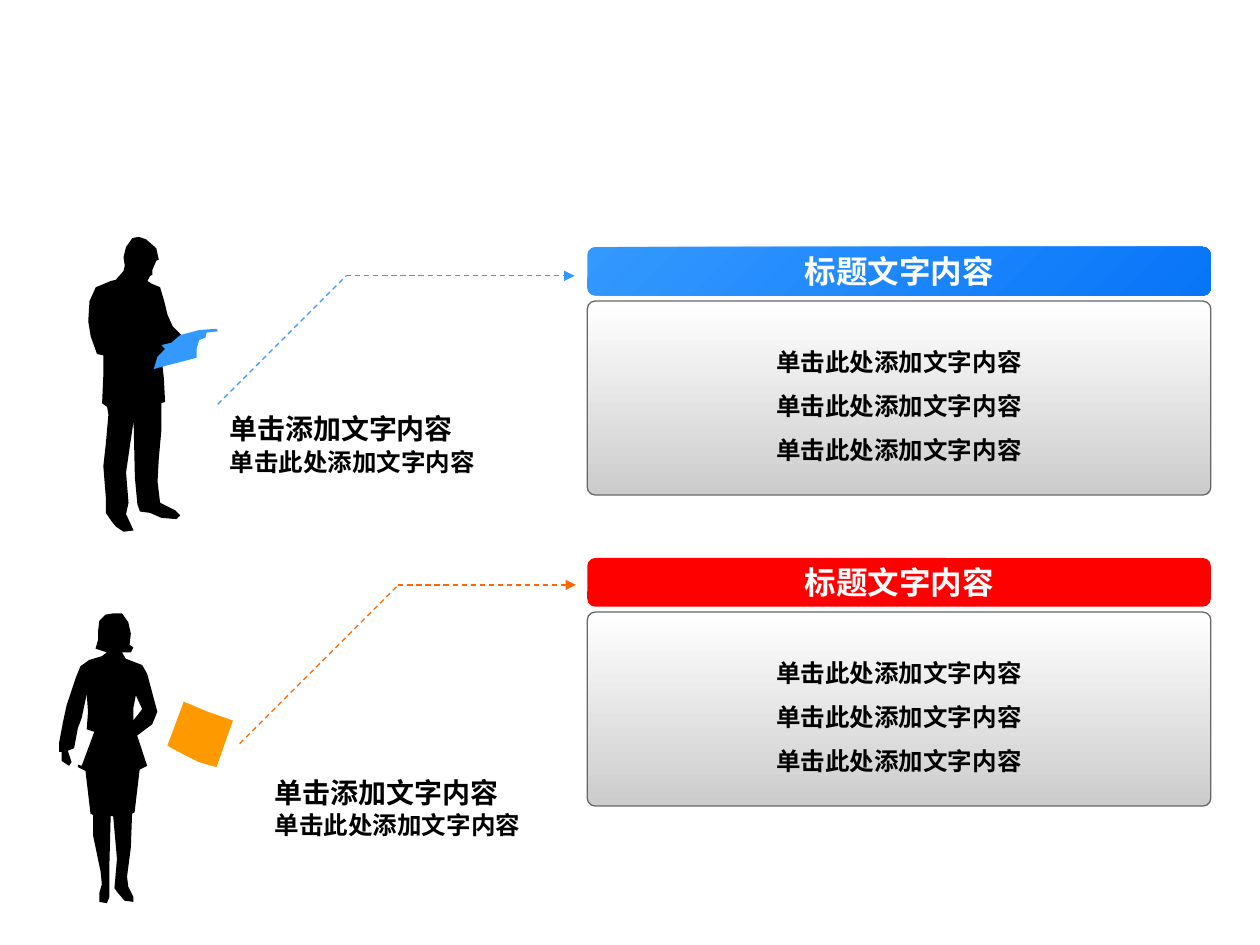
"""Build a slide linking two silhouettes to titled text panels."""
from itertools import chain
from lxml import etree
from pptx import Presentation
from pptx.dml.color import RGBColor
from pptx.enum.dml import MSO_LINE
from pptx.enum.shapes import MSO_CONNECTOR, MSO_SHAPE
from pptx.enum.text import MSO_ANCHOR, PP_ALIGN
from pptx.oxml.ns import qn
from pptx.util import Cm, Pt

ROUNDED = MSO_SHAPE.ROUNDED_RECTANGLE
STRAIGHT = MSO_CONNECTOR.STRAIGHT
DASH = MSO_LINE.DASH
MIDDLE = MSO_ANCHOR.MIDDLE
LEFT, CENTER = PP_ALIGN.LEFT, PP_ALIGN.CENTER

TITLE = "标题文字内容"
HEADING = "单击添加文字内容"
DETAIL = "单击此处添加文字内容"
BLACK, WHITE, BLUE = "000000", "FFFFFF", "3399FF"
RED, AMBER, ORANGE = "FF0000", "FF9900", "FF6600"

MAN = {
    "back of head": [(35, 2), (30, 9), (28, 17), (29, 24), (28, 28), (22, 35)],
    "back arm": [(18, 36), (6, 41), (1, 52), (0, 68), (2, 80), (7, 94)],
    "jacket back": [(12, 95), (12, 111), (11, 133), (15, 136)],
    "left leg": [(16, 142), (14, 165), (12, 183), (14, 208), (14, 220)],
    "left shoe": [(18, 226), (22, 231), (28, 235), (36, 234), (30, 221)],
    "inner legs": [(32, 212), (30, 188), (36, 147), (37, 192), (39, 213)],
    "right shoe": [(41, 219), (49, 220), (58, 224), (70, 225), (73, 222),
                   (69, 218), (57, 212)],
    "right leg": [(55, 195), (56, 177), (58, 155), (58, 133)],
    "jacket front": [(61, 132), (60, 113), (59, 104)],
    "front arm": [(74, 79), (67, 72), (63, 63), (60, 51), (57, 41)],
    "collar": [(50, 38), (47, 36), (49, 32)],
    "face": [(51, 31), (51, 27), (54, 20), (56, 19), (54, 10), (46, 3),
             (40, 1)],
}
PAPER = {
    "lower edge": [(52, 106), (59, 104), (86, 97)],
    "fold": [(86, 90), (88, 83), (93, 81), (94, 77), (103, 76)],
    "upper edge": [(102, 74), (88, 75), (73, 79), (66, 85), (58, 87)],
    "thumb": [(61, 90), (55, 96)],
}
WOMAN = {
    "inner sleeve": [(22, 67), (18, 86), (15, 94), (12, 110)],
    "hand": [(7, 112), (10, 121), (8, 124), (2, 120), (2, 113), (0, 113)],
    "outer sleeve": [(0, 106), (3, 90), (6, 76), (13, 55), (17, 45)],
    "left shoulder": [(24, 40), (34, 37), (38, 34)],
    "hair": [(29, 31), (31, 24), (31, 17), (32, 9), (37, 4), (43, 3),
             (50, 3), (55, 10), (57, 19), (56, 28), (59, 30), (57, 34)],
    "right shoulder": [(50, 34), (53, 39), (66, 44), (70, 51)],
    "right arm": [(78, 81), (74, 91), (62, 100)],
    "right hem": [(70, 124), (64, 127), (60, 161), (58, 162)],
    "right leg": [(57, 189), (54, 212), (55, 220)],
    "right shoe": [(59, 228), (59, 232), (52, 231), (46, 224)],
    "inner legs": [(44, 221), (46, 198), (43, 164), (41, 164), (40, 203)],
    "left shoe": [(40, 228), (38, 233), (32, 232), (32, 225), (34, 218)],
    "left leg": [(33, 208), (27, 179), (27, 163), (25, 162)],
    "left hem": [(21, 128), (15, 125), (15, 123), (18, 124)],
    "waist": [(28, 97), (22, 95), (23, 81)],
}
ELBOW_GAP = {"gap": [(61, 68), (59, 78), (59, 88), (66, 79)]}
FOLDER = {
    "top": [(99, 73), (118, 81), (138, 88)],
    "bottom": [(125, 125), (111, 121), (99, 115), (86, 108)],
}

ROWS = [
    {"origin": (1.78, 4.75),
     "figures": [([MAN], BLACK), ([PAPER], BLUE)],
     "arrow": (BLUE, (4.39, 8.15), 2.59, 11.58),
     "caption": (4.38, 8.18),
     "panel": (4.98, (BLUE, "0875F8"))},
    {"origin": (1.19, 12.29),
     "figures": [([FOLDER], AMBER), ([WOMAN, ELBOW_GAP], BLACK)],
     "arrow": (ORANGE, (4.83, 14.99), 3.2, 11.61),
     "caption": (5.29, 15.5),
     "panel": (11.25, (RED,))},
]

FIGURE_UNIT = Cm(0.0254)
CAPTION_LINES = [(HEADING, 16, 5.03, 0.94), (DETAIL, 14, 5.79, 0.84)]
CAPTION_STEP = 0.71
PANEL_LEFT, PANEL_WIDTH, PANEL_GAP = 11.84, 12.57, 0.11
BAR_HEIGHT, BODY_HEIGHT, CORNER = 0.98, 3.91, 0.16


def rgb(value):
    return RGBColor.from_string(value)


def paint(sp, colors, angle=0):
    sp.shadow.inherit = False
    if len(colors) == 1:
        sp.fill.solid()
        sp.fill.fore_color.rgb = rgb(colors[0])
        return
    sp.fill.gradient()
    sp.fill.gradient_angle = angle
    for stop, color in zip(sp.fill.gradient_stops, colors):
        stop.color.rgb = rgb(color)


def outline(obj, color):
    obj.line.color.rgb = rgb(color)
    obj.line.width = Pt(0.75)


def write(sp, lines, size, color=BLACK, font="Arial", align=LEFT,
          spacing=None):
    tf = sp.text_frame
    tf.word_wrap = False
    for i, line in enumerate(lines):
        p = tf.add_paragraph() if i else tf.paragraphs[0]
        p.alignment = align
        p.line_spacing = spacing
        r = p.add_run()
        r.text = line
        r.font.name, r.font.size, r.font.bold = font, Pt(size), True
        r.font.color.rgb = rgb(color)


def add_figure(s, origin, contours, color):
    fb = s.shapes.build_freeform(scale=FIGURE_UNIT)
    for parts in contours:
        start, *rest = chain.from_iterable(parts.values())
        fb.move_to(*start)
        fb.add_line_segments(rest, close=True)
    sp = fb.convert_to_shape(*map(Cm, origin))
    paint(sp, [color])
    sp.line.fill.background()


def add_arrow(s, color, start, rise, tip):
    x, y = start
    bend, end = (x + rise, y - rise), (tip, y - rise)
    for a, b in ((start, bend), (bend, end)):
        cn = s.shapes.add_connector(STRAIGHT, *map(Cm, a + b))
        outline(cn, color)
        cn.line.dash_style = DASH
        etree.SubElement(cn._element.spPr, qn("a:effectLst"))
    etree.SubElement(cn.line._get_or_add_ln(), qn("a:tailEnd"),
                     type="triangle")


def add_caption(s, left, top):
    for i, (text, size, width, height) in enumerate(CAPTION_LINES):
        box = (left, top + i * CAPTION_STEP, width, height)
        write(s.shapes.add_textbox(*map(Cm, box)), [text], size)


def add_box(s, top, height, colors, angle):
    box = (PANEL_LEFT, top, PANEL_WIDTH, height)
    sp = s.shapes.add_shape(ROUNDED, *map(Cm, box))
    sp.adjustments[0] = CORNER / height
    paint(sp, colors, angle)
    sp.text_frame.vertical_anchor = MIDDLE
    return sp


def add_panel(s, top, colors):
    body_top = top + BAR_HEIGHT + PANEL_GAP
    body = add_box(s, body_top, BODY_HEIGHT, (WHITE, "CCCCCC"), 270)
    outline(body, "666666")
    write(body, [DETAIL] * 3, 14, font="Noto Sans CJK SC", align=CENTER,
          spacing=1.5)
    bar = add_box(s, top, BAR_HEIGHT, colors, 315)
    bar.line.fill.background()
    write(bar, [TITLE], 18, color=WHITE, align=CENTER)


def main():
    prs = Presentation()
    prs.slide_width, prs.slide_height = Cm(25.4), Cm(19.05)
    s = prs.slides.add_slide(prs.slide_layouts[6])
    for row in ROWS:
        for contours, color in row["figures"]:
            add_figure(s, row["origin"], contours, color)
        add_arrow(s, *row["arrow"])
        add_caption(s, *row["caption"])
        add_panel(s, *row["panel"])
    prs.save("out.pptx")


if __name__ == "__main__":
    main()
